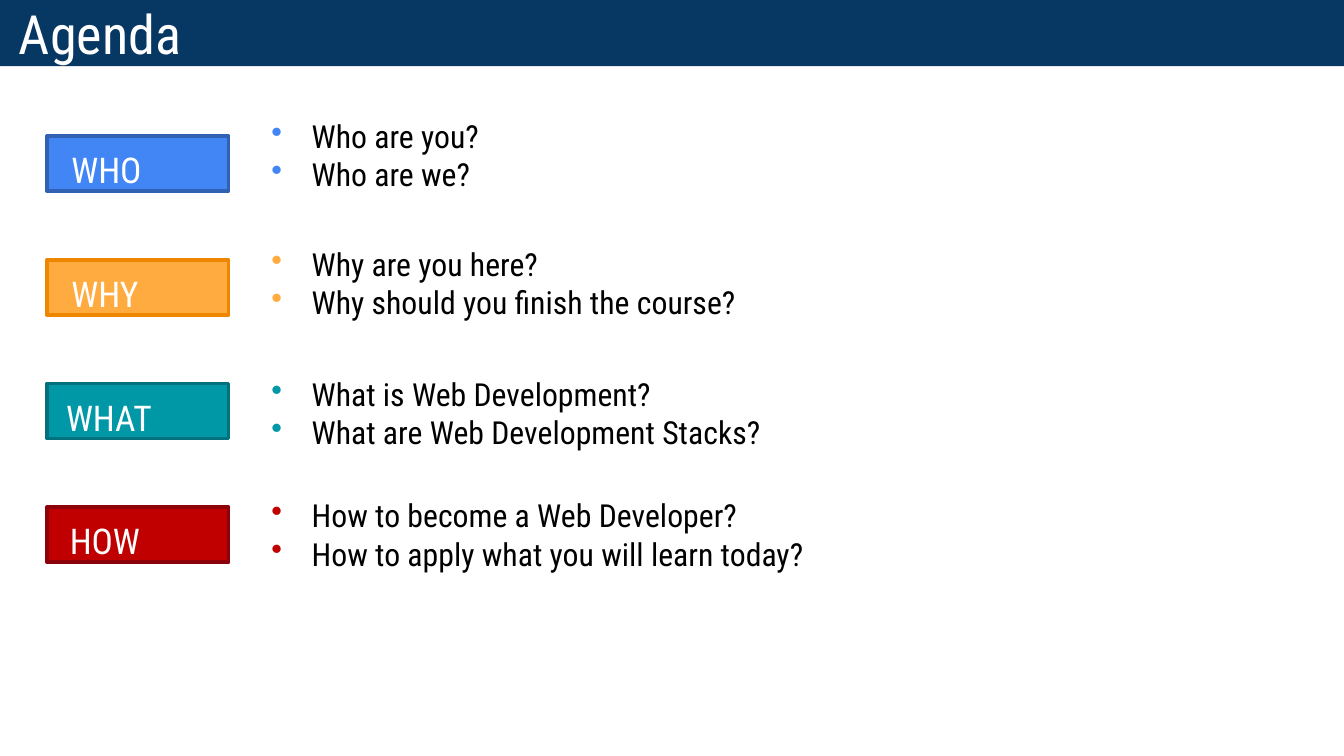
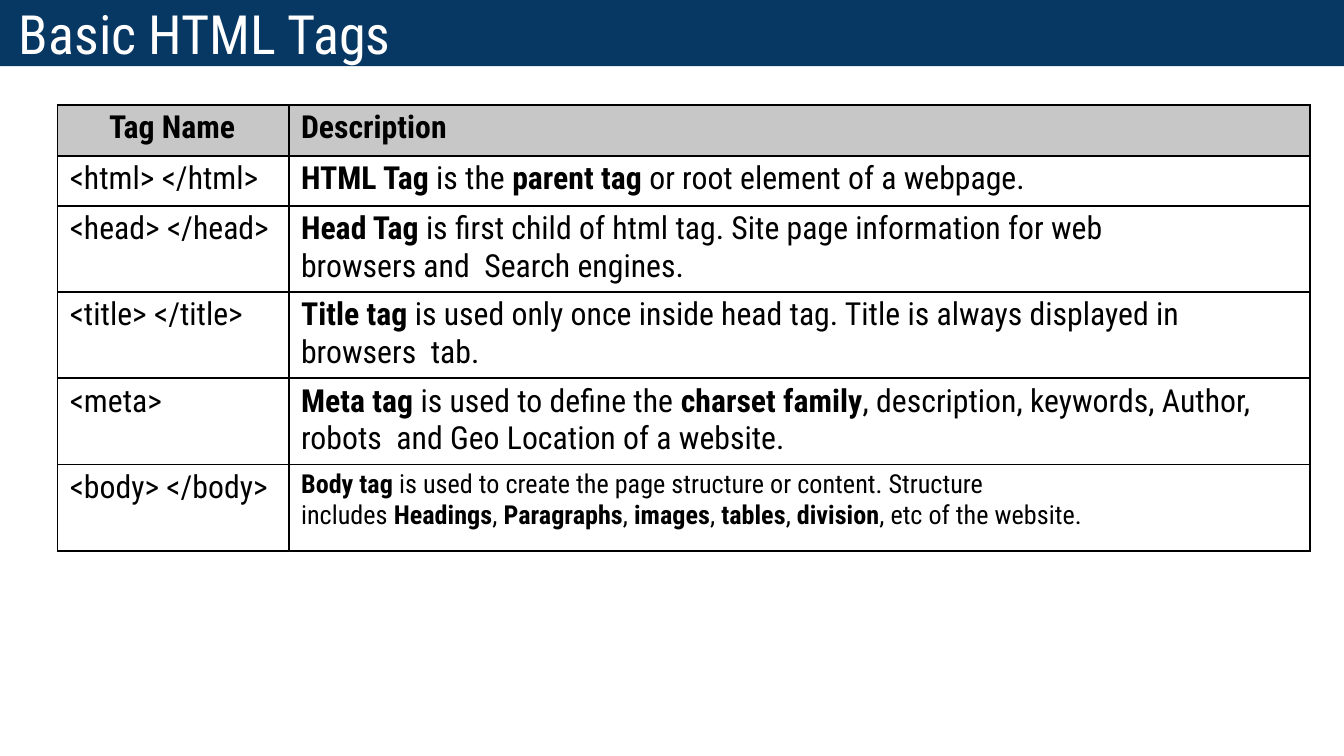
"""Build an agenda slide and a table of basic HTML tags."""
import pptx
import pptx.dml.color
import pptx.enum.shapes
import pptx.enum.text
import pptx.oxml.ns
import pptx.util
from lxml import etree

Cm = pptx.util.Cm
Pt = pptx.util.Pt
Color = pptx.dml.color.RGBColor
qn = pptx.oxml.ns.qn

FONT = "Roboto Condensed"
NAVY = Color(0x07, 0x37, 0x63)
WHITE = Color(0xFF, 0xFF, 0xFF)
BLACK = Color(0x00, 0x00, 0x00)
GRAY = Color(0xC7, 0xC7, 0xC7)
BLUE, BLUE_EDGE = Color(0x42, 0x85, 0xF4), Color(0x30, 0x61, 0xB2)
GOLD, GOLD_EDGE = Color(0xFF, 0xAB, 0x40), Color(0xEE, 0x86, 0x00)
TEAL, TEAL_EDGE = Color(0x00, 0x97, 0xA7), Color(0x00, 0x71, 0x7D)
RED, RED_EDGE = Color(0xC0, 0x00, 0x00), Color(0x8D, 0x01, 0x0B)

# Label, fill, edge, label indent, list top, list width, points
TOPICS = [
    ("WHO", BLUE, BLUE_EDGE, 0.46, 2.18, 6.07,
     ["Who are you?", "Who are we?"]),
    ("WHY", GOLD, GOLD_EDGE, 0.46, 4.6, 13.06,
     ["Why are you here?", "Why should you finish the course?"]),
    ("WHAT", TEAL, TEAL_EDGE, 0.36, 7.06, 13.94,
     ["What is Web Development?", "What are Web Development Stacks?"]),
    ("HOW", RED, RED_EDGE, 0.43, 9.35, 14.83,
     ["How to become a Web Developer?",
      "How to apply what you will learn today?"]),
]

# Tag, row height, right indent, text size, lines with *bold* parts
TAGS = [
    ("*Tag Name*", 0.97, 0, 17, ["*Description*"]),
    ("<html> </html>", 0.94, 0, 17,
     ["*HTML Tag *is the *parent tag *or root element of a webpage."]),
    ("<head> </head>", 1.63, 2.5, 17,
     ["*Head Tag *is first child of html tag. Site page information "
      "for web browsers and  Search engines."]),
    ("<title> </title>", 1.63, 1.5, 17,
     ["*Title tag *is used only once inside head tag. Title is always "
      "displayed in browsers  tab."]),
    ("<meta>", 1.63, 0, 17,
     ["*Meta tag *is used to define the *charset family*, description, "
      "keywords, Author, robots  and Geo Location of a website."]),
    ("<body> </body>", 1.63, 0, 14,
     ["*Body tag *is used to create the page structure or content. Structure",
      "includes *Headings*, *Paragraphs*, *images*, *tables*, *division*, "
      "etc of the website."]),
]
WIDTHS = (4.37, 19.3)


def write(frame, lines, size, color, left=0, right=0, hang=0, dot=None):
    """Fill a text frame, with parts between asterisks in bold."""
    frame.text = "\n".join([""] * len(lines))
    for para, line in zip(frame.paragraphs, lines):
        props = para._p.get_or_add_pPr()
        props.set("marL", str(Cm(left)))
        props.set("marR", str(Cm(right)))
        props.set("indent", str(-Cm(hang)))
        if dot is not None:
            tint = etree.SubElement(props, qn("a:buClr"))
            etree.SubElement(tint, qn("a:srgbClr"), val=str(dot))
            etree.SubElement(props, qn("a:buChar"), char="•")
        para.alignment = pptx.enum.text.PP_ALIGN.LEFT
        for spot, part in enumerate(line.split("*")):
            if part:
                run = para.add_run()
                run.text = part
                run.font.name = FONT
                run.font.size = Pt(size)
                run.font.bold = spot % 2 == 1
                run.font.color.rgb = color


def inset(part, top):
    part.margin_left = part.margin_right = part.margin_bottom = 0
    part.margin_top = Cm(top)


def add_text(slide, left, top, width, height, inner=0):
    frame = slide.shapes.add_textbox(
        Cm(left), Cm(top), Cm(width), Cm(height)).text_frame
    frame.word_wrap = True
    inset(frame, inner)
    return frame


def add_box(slide, left, top, width, height, fill, edge=None):
    box = slide.shapes.add_shape(
        pptx.enum.shapes.MSO_SHAPE.RECTANGLE,
        Cm(left), Cm(top), Cm(width), Cm(height))
    box.shadow.inherit = False
    box.fill.solid()
    box.fill.fore_color.rgb = fill
    if edge is None:
        box.line.fill.background()
    else:
        box.line.color.rgb = edge
        box.line.width = Pt(2)
    return box


def add_slide(deck, title):
    slide = deck.slides.add_slide(deck.slide_layouts[6])
    add_box(slide, 0, 0, 25.4, 1.25, NAVY)
    frame = add_text(slide, 0.36, 0, 24.23, 1.25)
    frame.vertical_anchor = pptx.enum.text.MSO_ANCHOR.MIDDLE
    write(frame, [title], 29, WHITE)
    return slide


def add_topics(slide):
    for row, (label, fill, edge, left, top, width, points) in enumerate(TOPICS):
        box = add_box(slide, 0.89, 2.57 + 2.34 * row, 3.43, 1.04, fill, edge)
        frame = box.text_frame
        inset(frame, 0.23)
        frame.vertical_anchor = pptx.enum.text.MSO_ANCHOR.TOP
        write(frame, [label], 19, WHITE, left)
        frame = add_text(slide, 5.13, top, width, 1.5, 0.03)
        write(frame, points, 17, BLACK, 0.76, hang=0.76, dot=fill)


def style_cell(cell, fill):
    inset(cell, 0.08)
    props = cell._tc.get_or_add_tcPr()
    for side in ("lnL", "lnR", "lnT", "lnB"):
        line = etree.SubElement(props, qn("a:" + side), w=str(Pt(1)))
        paint = etree.SubElement(line, qn("a:solidFill"))
        etree.SubElement(paint, qn("a:srgbClr"), val=str(BLACK))
    cell.fill.solid()
    cell.fill.fore_color.rgb = fill


def add_tags(slide):
    height = sum(tag[1] for tag in TAGS)
    table = slide.shapes.add_table(
        len(TAGS), len(WIDTHS), Cm(1.09), Cm(1.98),
        Cm(sum(WIDTHS)), Cm(height)).table
    table.horz_banding = False
    for col, width in zip(table.columns, WIDTHS):
        col.width = Cm(width)
    for row, (name, height, right, size, lines) in enumerate(TAGS):
        table.rows[row].height = Cm(height)
        first, second = table.cell(row, 0), table.cell(row, 1)
        for cell in (first, second):
            style_cell(cell, WHITE if row else GRAY)
        write(first.text_frame, [name], 17, BLACK, 0.23 if row else 0.97)
        write(second.text_frame, lines, size, BLACK, 0.23, right)


def main():
    deck = pptx.Presentation()
    deck.slide_width, deck.slide_height = Cm(25.4), Cm(14.29)
    add_topics(add_slide(deck, "Agenda"))
    add_tags(add_slide(deck, "Basic HTML Tags"))
    deck.save("out.pptx")


if __name__ == "__main__":
    main()
